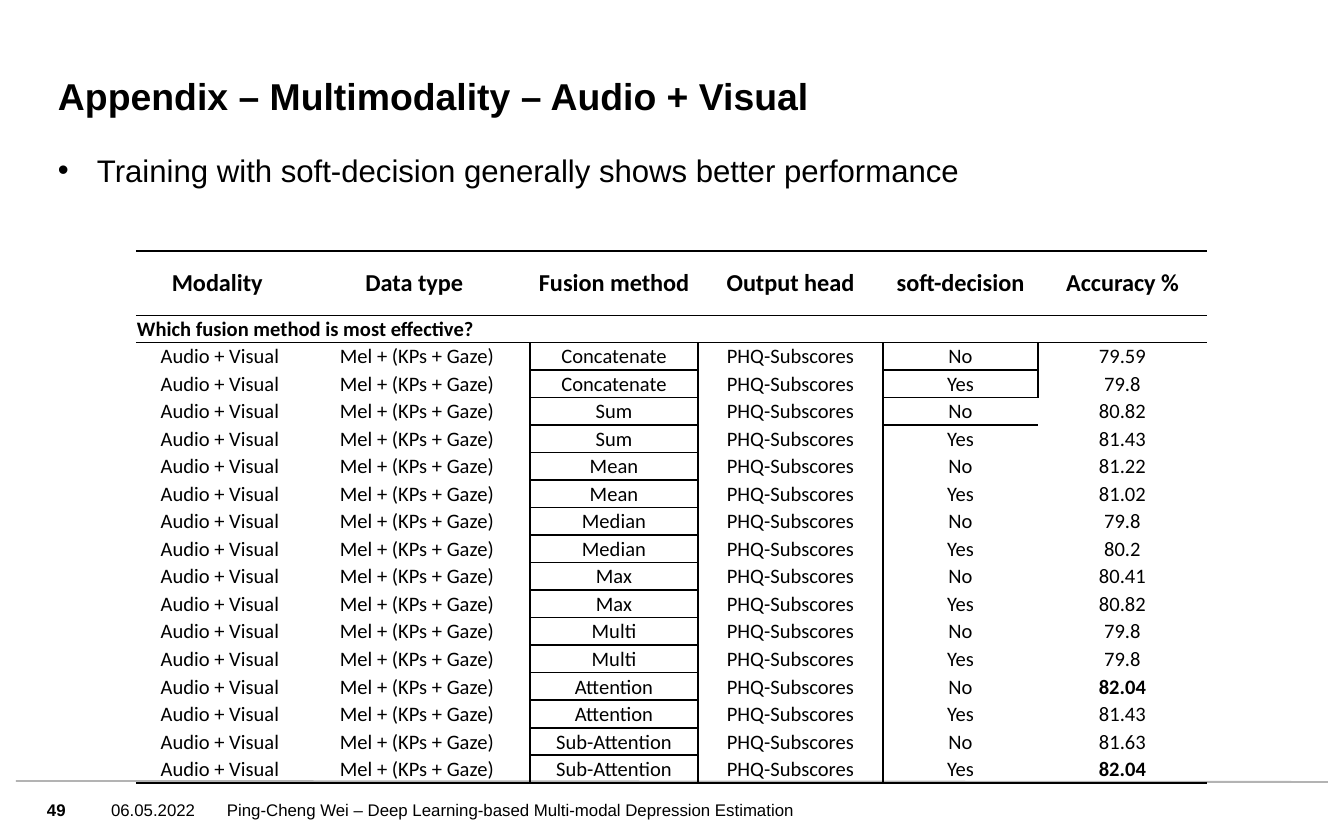
from lxml import etree
from pptx import Presentation
from pptx.dml.color import RGBColor
from pptx.enum.shapes import MSO_CONNECTOR
from pptx.enum.text import MSO_ANCHOR, MSO_AUTO_SIZE, PP_ALIGN
from pptx.oxml.ns import qn
from pptx.util import Pt

LEFT, CENTER = PP_ALIGN.LEFT, PP_ALIGN.CENTER
TOP, MIDDLE, BOTTOM = MSO_ANCHOR.TOP, MSO_ANCHOR.MIDDLE, MSO_ANCHOR.BOTTOM
NO_AUTOFIT = MSO_AUTO_SIZE.NONE
STRAIGHT = MSO_CONNECTOR.STRAIGHT

EMU_PER_PX = 914400 / 134.4
BLACK, GRAY = "000000", "B3B3B3"
PLAIN_TABLE_STYLE = "{2D5ABB26-0587-4C30-8999-92F81FD0307C}"
NEIGHBOURS = {"L": (0, -1, "R"), "R": (0, 1, "L"), "T": (-1, 0, "B"), "B": (1, 0, "T")}

HEADERS = ["Modality ", "Data type ", "Fusion method", "Output head", "soft-decision", "Accuracy %"]
COLUMN_WIDTHS = [168, 226, 168, 185, 155, 169]
ACCURACIES = {
    "Concatenate": ("79.59", "79.8"),
    "Sum": ("80.82", "81.43"),
    "Mean": ("81.22", "81.02"),
    "Median": ("79.8", "80.2"),
    "Max": ("80.41", "80.82"),
    "Multi": ("79.8", "79.8"),
    "Attention": ("82.04", "81.43"),
    "Sub-Attention": ("81.63", "82.04"),
}
BEST = "82.04"


def px(length):
    """Turn pixels into EMU."""
    return round(length * EMU_PER_PX)


def color(value):
    """Turn a hex string into a colour."""
    return RGBColor.from_string(value)


def write_text(frame, text, size, font="Arial", bold=False, align=LEFT, fill=BLACK):
    """Write one formatted paragraph into a text frame and return it."""
    para = frame.paragraphs[0]
    para.alignment = align
    para.space_before = Pt(0)
    span = para.add_run()
    span.text = text
    span.font.name = font
    span.font.size = Pt(size)
    span.font.bold = bold
    span.font.color.rgb = color(fill)
    return para


def prepare_frame(shape, anchor):
    """Give a shape a wrapping text frame without margins."""
    frame = shape.text_frame
    frame.margin_left = frame.margin_right = frame.margin_top = frame.margin_bottom = 0
    frame.word_wrap = True
    frame.auto_size = NO_AUTOFIT
    frame.vertical_anchor = anchor
    return frame


def place(shape, box):
    """Move a shape to a box of left, top, width and height."""
    shape.left, shape.top, shape.width, shape.height = map(px, box)


def fill_title(page, box):
    """Fill the title placeholder."""
    title = page.shapes.title
    place(title, box)
    write_text(prepare_frame(title, BOTTOM), "Appendix – Multimodality – Audio + Visual", 20, bold=True)


def fill_body(page, box):
    """Fill the body placeholder with its bullet."""
    body = page.placeholders[1]
    place(body, box)
    para = write_text(prepare_frame(body, TOP),
                      "Training with soft-decision generally shows better performance", 16.7)
    props = para._p.get_or_add_pPr()
    props.set("marL", str(px(39)))
    props.set("indent", str(-px(39)))
    etree.SubElement(props, qn("a:buFont")).set("typeface", "Arial")
    etree.SubElement(props, qn("a:buChar")).set("char", "•")


def add_footer(page, box):
    """Add the footer rule, page number, date and running title."""
    left, top, width, height = box
    rule = page.shapes.add_connector(STRAIGHT, px(left), px(top), px(left + width), px(top + 1))
    rule.line.color.rgb = color(GRAY)
    rule.line.width = Pt(1)
    etree.SubElement(rule._element.spPr, qn("a:effectLst"))
    parts = [
        (31, 48, "49", True),
        (95, 126, "06.05.2022", False),
        (211, 699, "Ping-Cheng Wei – Deep Learning-based Multi-modal Depression Estimation", False),
    ]
    for offset, part_width, text, bold in parts:
        note = page.shapes.add_textbox(px(left + offset), px(top + 3), px(part_width), px(height))
        write_text(prepare_frame(note, MIDDLE), text, 9, bold=bold)


def table_rows():
    """List the texts of the result rows."""
    return [["Audio + Visual", "Mel + (KPs + Gaze)", method, "PHQ-Subscores", decision, accuracy]
            for method, pair in ACCURACIES.items()
            for decision, accuracy in zip(("No", "Yes"), pair)]


def table_borders(row_count, column_count):
    """Map each cell and side that has a border to the width in points."""
    last = row_count - 1
    edges = {}
    for col in range(column_count):
        edges.update({(0, col, "T"): 1, (0, col, "B"): 0.5, (last, col, "B"): 1})
    for row in range(2, row_count):
        for side in ("L", "R", "B" if row % 2 else "T"):
            edges[row, 2, side] = 1
    for row in (2, 3):
        for side in NEIGHBOURS:
            edges[row, 4, side] = 1
    for (row, col, side), width in list(edges.items()):
        down, across, opposite = NEIGHBOURS[side]
        edges[row + down, col + across, opposite] = width
    return edges


def add_border(cell, side, width):
    """Draw one side of a cell."""
    line = etree.SubElement(cell._tc.get_or_add_tcPr(), qn(f"a:ln{side}"), w=str(Pt(width)))
    fill = etree.SubElement(line, qn("a:solidFill"))
    etree.SubElement(fill, qn("a:srgbClr")).set("val", BLACK)


def format_cell(cell, borders):
    """Set the margins, anchor, borders and fill of a cell."""
    cell.margin_left = cell.margin_right = cell.margin_top = px(1)
    cell.margin_bottom = 0
    cell.vertical_anchor = MIDDLE
    for side, width in borders:
        add_border(cell, side, width)
    cell.fill.background()


def add_results(page, box):
    """Add the table that compares the fusion methods."""
    rows = table_rows()
    row_count, column_count = len(rows) + 2, len(HEADERS)
    table = page.shapes.add_table(row_count, column_count, *map(px, box)).table
    table.first_row = table.horz_banding = False
    table._tbl.tblPr.find(qn("a:tableStyleId")).text = PLAIN_TABLE_STYLE
    for column, width in zip(table.columns, COLUMN_WIDTHS):
        column.width = px(width)
    header_height = 64
    row_height = px(box[3] - header_height) // (row_count - 1)
    for index, row in enumerate(table.rows):
        row.height = row_height if index else px(header_height)

    edges = table_borders(row_count, column_count)
    for row in range(row_count):
        for col in range(column_count):
            borders = [(side, edges[row, col, side]) for side in NEIGHBOURS if (row, col, side) in edges]
            format_cell(table.cell(row, col), borders)

    for col, text in enumerate(HEADERS):
        write_text(table.cell(0, col).text_frame, text, 13, font="Calibri", bold=True, align=CENTER)
    question = table.cell(1, 0)
    question.merge(table.cell(1, column_count - 1))
    write_text(question.text_frame, "Which fusion method is most effective?", 11, font="Calibri", bold=True)
    for row, texts in enumerate(rows, start=2):
        for col, text in enumerate(texts):
            write_text(table.cell(row, col).text_frame, text, 11, font="Calibri",
                       bold=text == BEST, align=CENTER)


def main():
    """Build and save the deck."""
    deck = Presentation()
    deck.slide_width, deck.slide_height = px(1344), px(840)
    page = deck.slides.add_slide(deck.slide_layouts[1])
    add_footer(page, (16, 781, 1312, 52))
    fill_title(page, (58, 50, 1016, 68))
    fill_body(page, (58, 151, 1228, 599))
    add_results(page, (136, 251, sum(COLUMN_WIDTHS), 532))
    deck.save("out.pptx")


if __name__ == "__main__":
    main()
